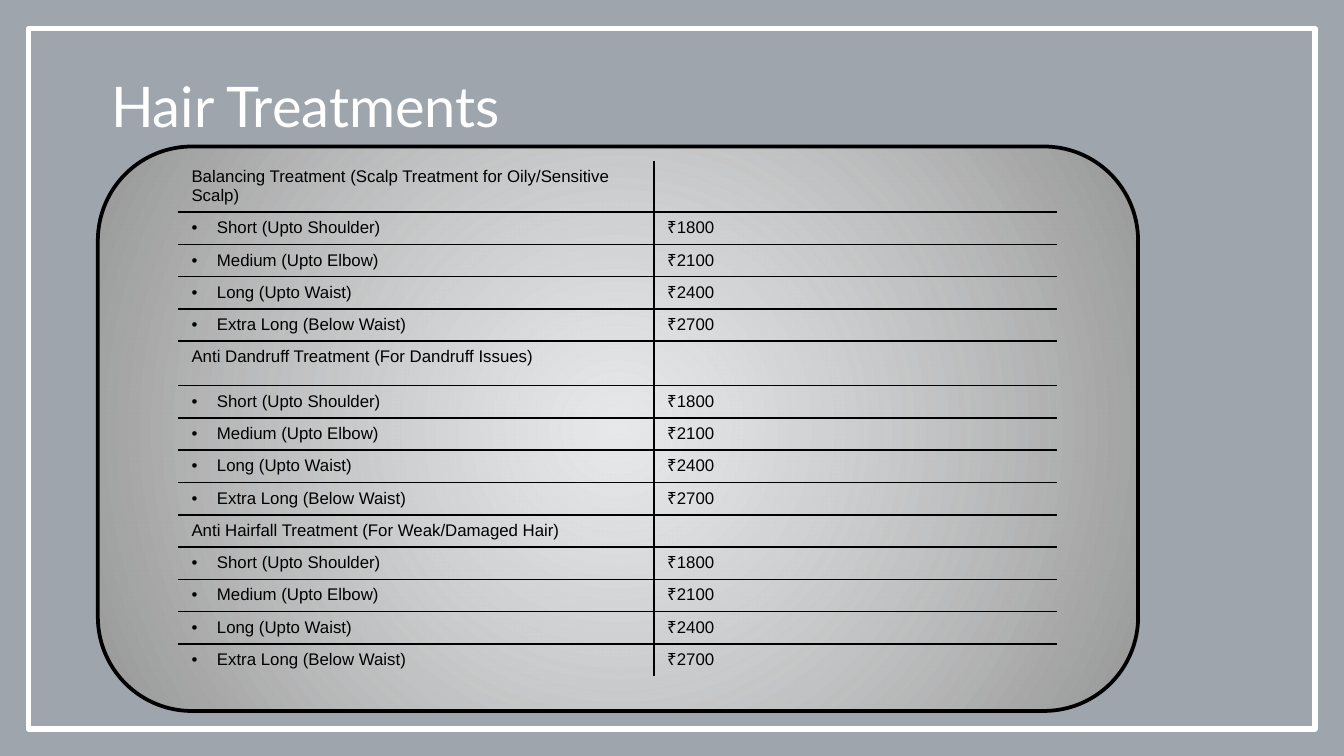
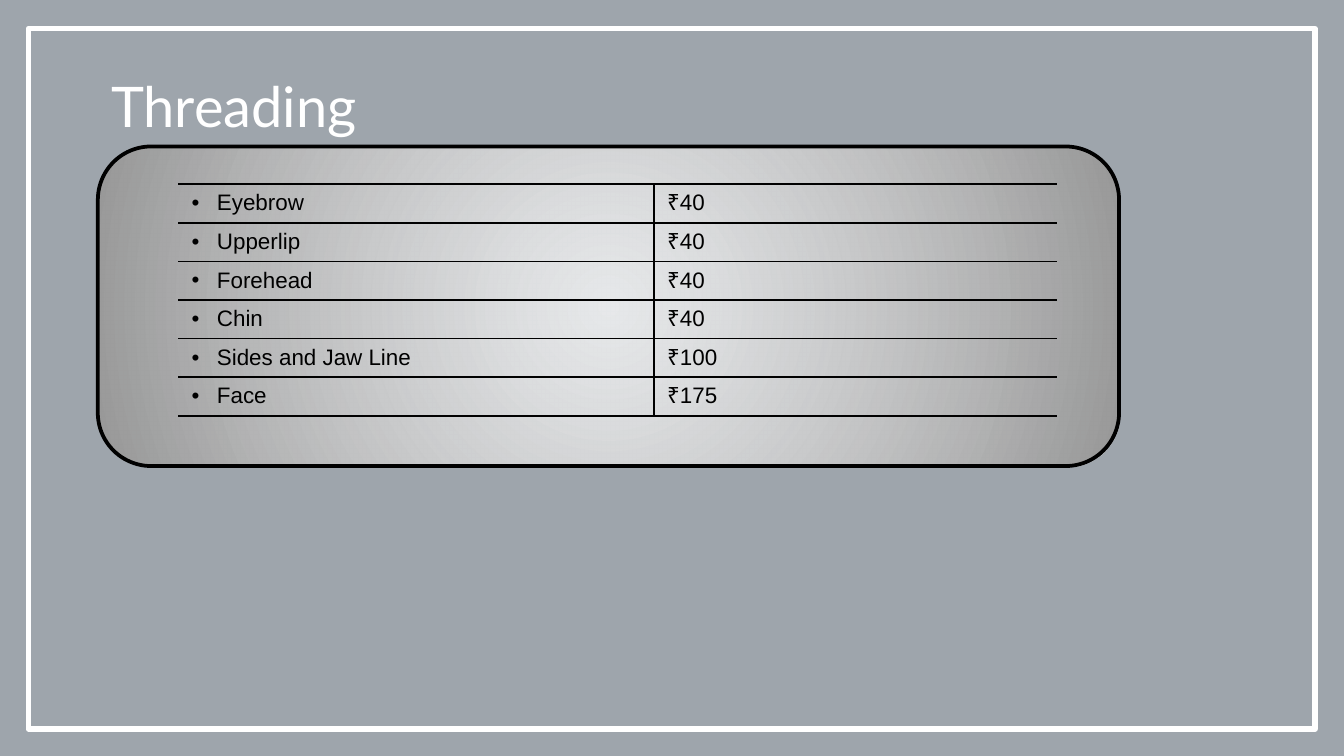
import dataclasses
import typing

import pptx
import pptx.dml.color
import pptx.enum.shapes
import pptx.oxml
import pptx.oxml.ns
import pptx.oxml.xmlchemy
import pptx.slide
import pptx.table
import pptx.text.text
import pptx.util

Cm = pptx.util.Cm
Pt = pptx.util.Pt
Kind = pptx.enum.shapes.MSO_SHAPE
NS = pptx.oxml.ns.nsdecls("a")

# Shared look
BLACK, WHITE, NAVY, GREY = "000000", "FFFFFF", "021526", "979797"
WIDE, HIGH = 25.4, 14.29
LEFT = 1.85
COLS = (8.99, 7.62)
HANG = 0.48
CELL = {"margin_left": Cm(0.25), "margin_right": Cm(0.25),
        "margin_top": Cm(0.12), "margin_bottom": Cm(0.1)}

Row = tuple[str, str]


@dataclasses.dataclass
class Box:
    left: float
    top: float
    width: float
    height: float

    def place(self) -> list[pptx.util.Length]:
        return [Cm(v) for v in dataclasses.astuple(self)]


@dataclasses.dataclass
class Page:
    title: str
    panel: Box
    top: float
    size: int
    pitch: float
    rows: list[Row]
    tall: dict[int, float]
    closed: bool


def shade(code: str) -> pptx.dml.color.RGBColor:
    return pptx.dml.color.RGBColor.from_string(code)


def paint(code: str, alpha: int = 100) -> str:
    return f'<a:srgbClr val="{code}"><a:alpha val="{alpha * 1000}"/></a:srgbClr>'


def node(xml: str) -> pptx.oxml.xmlchemy.BaseOxmlElement:
    """Parse a fragment whose first tag carries the namespace slot."""
    return pptx.oxml.parse_xml(xml.replace("NS", NS, 1))


def style(font: pptx.text.text.Font, size: int, name: str, code: str) -> None:
    for key, value in {"size": Pt(size), "name": name}.items():
        setattr(font, key, value)
    font.color.rgb = shade(code)


def draw(slide: pptx.slide.Slide, kind: Kind, box: Box, fill: str = "",
         line: str = "", weight: float = 0) -> None:
    """Add a shape; fill is the XML of a fill, empty for none."""
    shape = slide.shapes.add_shape(kind, *box.place())
    shape.shadow.inherit = False
    shape.fill.background()
    if fill:
        old = shape.element.spPr.find(pptx.oxml.ns.qn("a:noFill"))
        old.getparent().replace(old, node(fill))
    if line:
        shape.line.color.rgb = shade(line)
        shape.line.width = Pt(weight)
    else:
        shape.line.fill.background()


def frame(slide: pptx.slide.Slide) -> None:
    """Tinted backdrop and white border."""
    tint = f"<a:solidFill NS>{paint(NAVY, 38)}</a:solidFill>"
    draw(slide, Kind.RECTANGLE, Box(0, 0, WIDE, 14.33), tint)
    draw(slide, Kind.RECTANGLE, Box(0.54, 0.54, 24.31, 13.24), "", WHITE, 3)


def panel(slide: pptx.slide.Slide, box: Box) -> None:
    """Rounded panel, lit from its centre."""
    glow = ('<a:gradFill NS rotWithShape="1"><a:gsLst>'
            f'<a:gs pos="0">{paint(WHITE, 75)}</a:gs>'
            f'<a:gs pos="100000">{paint(GREY)}</a:gs></a:gsLst>'
            '<a:path path="circle"><a:fillToRect l="50000" t="50000" '
            'r="50000" b="50000"/></a:path></a:gradFill>')
    draw(slide, Kind.ROUNDED_RECTANGLE, box, glow, BLACK, 2)


def title(slide: pptx.slide.Slide, text: str) -> None:
    box = slide.shapes.add_textbox(*Box(LEFT, 1.22, 10.74, 1.55).place())
    box.text_frame.word_wrap = True
    run = box.text_frame.paragraphs[0].add_run()
    run.text = text
    style(run.font, 30, "Lato", WHITE)


def rule(cell: pptx.table._Cell, sides: dict[str, bool]) -> None:
    """Draw or clear each border of a cell."""
    props = cell._tc.get_or_add_tcPr()
    for side, shown in sides.items():
        fill = f"<a:solidFill>{paint(BLACK)}</a:solidFill>" if shown else "<a:noFill/>"
        props.append(node(f'<a:ln{side} NS w="12700">{fill}</a:ln{side}>'))


def bullet(para: pptx.text.text._Paragraph) -> None:
    props = para._p.get_or_add_pPr()
    props.set("marL", str(Cm(HANG)))
    props.set("indent", str(-Cm(HANG)))
    for xml in (f"<a:buClr NS>{paint(BLACK)}</a:buClr>",
                '<a:buFont NS typeface="Arial"/>', '<a:buChar NS char="•"/>'):
        props.append(node(xml))


def write(cell: pptx.table._Cell, text: str, size: int, dot: bool) -> None:
    para = cell.text_frame.paragraphs[0]
    if dot:
        bullet(para)
    if text:
        run = para.add_run()
        run.text = text
        style(run.font, size, "Arial", BLACK)
    else:
        # Keeps an empty cell from stretching its row
        para._p.append(node(f'<a:endParaRPr NS sz="{size * 100}"/>'))


def prices(slide: pptx.slide.Slide, page: Page) -> None:
    """Price list; a row without a price is a heading."""
    count = len(page.rows)
    highs = [page.tall.get(i, page.pitch) for i in range(count)]
    box = Box(3.37, page.top, sum(COLS), sum(highs))
    table = slide.shapes.add_table(count, len(COLS), *box.place()).table
    for flag in ("first_row", "horz_banding"):
        setattr(table, flag, False)
    for col, width in zip(table.columns, COLS):
        col.width = Cm(width)
    for i, (row, high) in enumerate(zip(table.rows, highs)):
        row.height = Cm(high)
        for j, text in enumerate(page.rows[i]):
            cell = table.cell(i, j)
            for key, value in CELL.items():
                setattr(cell, key, value)
            rule(cell, {"L": j > 0, "R": j == 0, "T": page.closed or i > 0,
                        "B": page.closed or i < count - 1})
            cell.fill.background()
            write(cell, text, page.size, j == 0 and bool(page.rows[i][1]))


# Content
LENGTHS: list[Row] = [("Short (Upto Shoulder)", "₹1800"),
                      ("Medium (Upto Elbow)", "₹2100"),
                      ("Long (Upto Waist)", "₹2400"),
                      ("Extra Long (Below Waist)", "₹2700")]
CARES = ("Balancing Treatment (Scalp Treatment for Oily/Sensitive Scalp)",
         "Anti Dandruff Treatment (For Dandruff Issues)",
         "Anti Hairfall Treatment (For Weak/Damaged Hair)")
THREADS: list[Row] = [("Eyebrow", "₹40"), ("Upperlip", "₹40"),
                      ("Forehead", "₹40"), ("Chin", "₹40"),
                      ("Sides and Jaw Line", "₹100"), ("Face", "₹175")]
PAGES: typing.Final = (
    Page("Hair Treatments", Box(LEFT, 2.77, 19.66, 10.67), 3.05, 9, 0.61,
         [row for care in CARES for row in [(care, ""), *LENGTHS]],
         {0: 0.96, 5: 0.84}, False),
    Page("Threading", Box(LEFT, 2.77, 19.3, 6.04), 3.48, 12, 0.73,
         THREADS, {}, True),
)


def main() -> None:
    deck = pptx.Presentation()
    deck.slide_width, deck.slide_height = Cm(WIDE), Cm(HIGH)
    for page in PAGES:
        slide = deck.slides.add_slide(deck.slide_layouts[6])
        frame(slide)
        panel(slide, page.panel)
        prices(slide, page)
        title(slide, page.title)
    deck.save("out.pptx")


if __name__ == "__main__":
    main()
